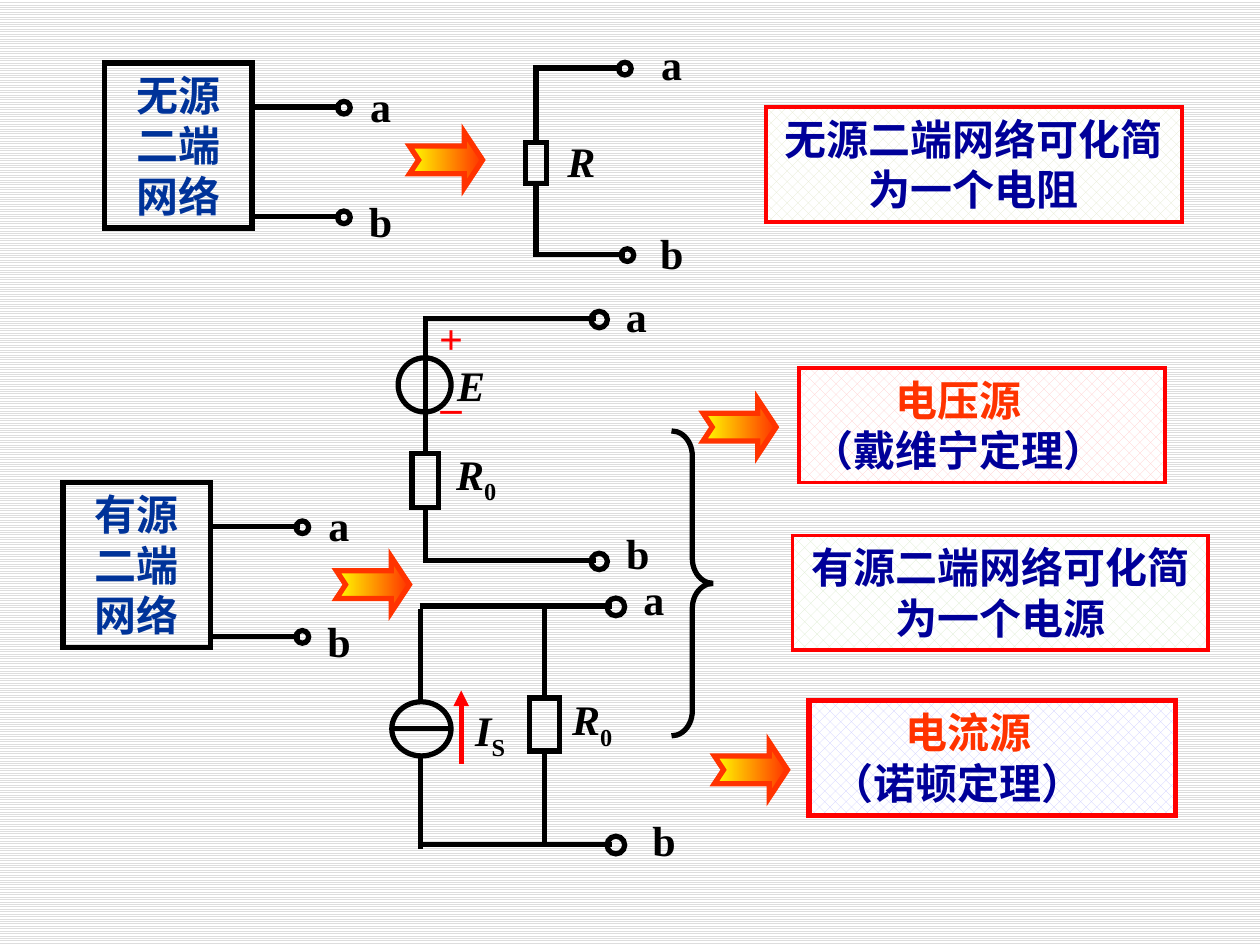
from lxml import etree
from pptx import Presentation
from pptx.dml.color import RGBColor
from pptx.enum.dml import MSO_PATTERN
from pptx.enum.shapes import MSO_CONNECTOR, MSO_SHAPE
from pptx.enum.text import MSO_ANCHOR, PP_ALIGN
from pptx.oxml.ns import qn
from pptx.util import Inches, Pt

BLACK = RGBColor(0x00, 0x00, 0x00)
WHITE = RGBColor(0xFF, 0xFF, 0xFF)
GREY = RGBColor(0xDD, 0xDD, 0xDD)
RED = RGBColor(0xFF, 0x00, 0x00)
ORANGE = RGBColor(0xFF, 0x33, 0x00)
YELLOW = RGBColor(0xFF, 0xFF, 0x00)
BLUE = RGBColor(0x00, 0x33, 0x99)
NAVY = RGBColor(0x00, 0x00, 0x99)
PINK = RGBColor(0xFF, 0xCC, 0xCC)
LILAC = RGBColor(0xCC, 0xCC, 0xFF)
OLIVE = RGBColor(0xE5, 0xE9, 0xCF)
GREEN = RGBColor(0xDA, 0xEB, 0xCD)
CENTER, LEFT = PP_ALIGN.CENTER, PP_ALIGN.LEFT
MIDDLE, TOP_ANCHOR = MSO_ANCHOR.MIDDLE, MSO_ANCHOR.TOP
RECT, OVAL = MSO_SHAPE.RECTANGLE, MSO_SHAPE.OVAL
ARROW, BRACE = MSO_SHAPE.NOTCHED_RIGHT_ARROW, MSO_SHAPE.RIGHT_BRACE
STRAIGHT = MSO_CONNECTOR.STRAIGHT
PCT_30, PCT_40 = MSO_PATTERN.from_xml("pct30"), MSO_PATTERN.from_xml("pct40")
LINES = MSO_PATTERN.from_xml("ltHorz")
TOP, BOTTOM = 0, 2
FONT = "Times New Roman"


def style(run, color, italic=False):
    """Format a run in the slide's bold 24-point type."""
    run.font.name, run.font.size = FONT, Pt(24)
    run.font.bold, run.font.italic = True, italic
    run.font.color.rgb = color


def outline(s, kind, x, y, w, h, color=BLACK, width=3):
    """Add an unfilled preset shape with sharp corners."""
    sp = s.shapes.add_shape(kind, Inches(x), Inches(y), Inches(w), Inches(h))
    sp.shadow.inherit = False
    sp.fill.background()
    sp.line.color.rgb, sp.line.width = color, Pt(width)
    etree.SubElement(sp.element.spPr.find(qn("a:ln")), qn("a:miter"), lim="800000")
    return sp


def wire(s, x1, y1, x2, y2, color=BLACK):
    """Add a straight wire."""
    line = s.shapes.add_connector(STRAIGHT, Inches(x1), Inches(y1), Inches(x2), Inches(y2))
    line.line.color.rgb, line.line.width = color, Pt(3)
    etree.SubElement(line._element.spPr, qn("a:effectLst"))
    return line


def label(s, text, x, y, w=0.82, h=0.51, italic=False, sub="", color=BLACK):
    """Add a centred label with an optional subscript."""
    tf = s.shapes.add_textbox(Inches(x), Inches(y), Inches(w), Inches(h)).text_frame
    tf.word_wrap = w > 0.4
    tf.vertical_anchor = MIDDLE
    tf.text = text
    for i, p in enumerate(tf.paragraphs):
        p.alignment = CENTER
        if i:
            p.space_before = Pt(2.4)
        style(p.runs[0], color, italic)
    if sub:
        r = tf.paragraphs[0].add_run()
        r.text = sub
        style(r, BLACK)
        r.font._element.set("baseline", "-25000")


def terminal(s, name, x, y, end, label_x, label_y, ring=0.1):
    """Add a wire ending in a ring with its terminal letter."""
    wire(s, x, y, end, y)
    outline(s, OVAL, end - 0.3 * ring, y - 0.45 * ring, ring, ring)
    label(s, name, label_x, label_y, w=0.38)


def resistor(s, x, y, w, h, top, bottom):
    """Add a resistor with wires up to top and down to bottom."""
    body = outline(s, RECT, x, y, w, h)
    mid = x + w / 2
    wire(s, mid, y, mid, top).begin_connect(body, TOP)
    wire(s, mid, y + h, mid, bottom).begin_connect(body, BOTTOM)


def network(s, text, x, y):
    """Add a two-terminal network box."""
    terminal(s, "a", x + 1.17, y + 0.35, x + 1.88, x + 2, y + 0.08)
    terminal(s, "b", x + 1.17, y + 1.22, x + 1.88, x + 2, y + 1)
    tf = outline(s, RECT, x, y, 1.17, 1.31).text_frame
    tf.word_wrap, tf.vertical_anchor = True, TOP_ANCHOR
    tf.text = text
    tf.paragraphs[0].alignment = CENTER
    style(tf.paragraphs[0].runs[0], BLUE)


def resistor_circuit(s, x, y):
    """Add the single-resistor equivalent of the passive network."""
    resistor(s, x, y + 0.59, 0.17, 0.33, y, y + 1.5)
    terminal(s, "a", x + 0.06, y, x + 0.77, x + 0.97, y - 0.29)
    terminal(s, "b", x + 0.08, y + 1.48, x + 0.79, x + 0.97, y + 1.21)
    label(s, "R", x + 0.23, y + 0.48, w=0.43, italic=True)


def voltage_circuit(s, x, y):
    """Add the voltage source with its series resistor."""
    terminal(s, "a", x, y, x + 1.37, x + 1.5, y - 0.28, ring=0.13)
    terminal(s, "b", x, y + 1.92, x + 1.37, x + 1.51, y + 1.6, ring=0.13)
    outline(s, OVAL, x - 0.2, y + 0.31, 0.42, 0.43)
    resistor(s, x - 0.09, y + 1.07, 0.21, 0.43, y - 0.01, y + 1.93)
    label(s, "+\n_", x + 0.01, y - 0.11, w=0.42, h=0.95, color=RED)
    label(s, "E", x - 0.03, y + 0.27, italic=True)
    label(s, "R", x + 0.01, y + 1, italic=True, sub="0")


def current_circuit(s, x, y):
    """Add the current source with its parallel resistor."""
    terminal(s, "a", x, y, x + 1.53, x + 1.67, y - 0.31, ring=0.14)
    terminal(s, "b", x, y + 1.89, x + 1.53, x + 1.75, y + 1.6, ring=0.14)
    outline(s, OVAL, x - 0.22, y + 0.76, 0.47, 0.43)
    wire(s, x - 0.22, y + 0.97, x + 0.25, y + 0.97)
    wire(s, x + 0.01, y + 0.02, x + 0.01, y + 0.76)
    wire(s, x + 0.01, y + 1.19, x + 0.01, y + 1.93)
    resistor(s, x + 0.87, y + 0.73, 0.24, 0.42, y, y + 1.9)
    flow = wire(s, x + 0.33, y + 1.25, x + 0.33, y + 0.67, RED)
    etree.SubElement(flow._element.spPr.find(qn("a:ln")), qn("a:tailEnd"), type="triangle")
    label(s, "I", x + 0.15, y + 0.75, italic=True, sub="S")
    label(s, "R", x + 0.96, y + 0.67, italic=True, sub="0")


def arrow(s, x, y):
    """Add a yellow-to-orange notched arrow."""
    sp = outline(s, ARROW, x, y, 0.58, 0.44, ORANGE)
    sp.adjustments[0], sp.adjustments[1] = 0.5, 0.33
    sp.fill.gradient()
    sp.fill.gradient_angle = 0
    for stop, position, color in zip(sp.fill.gradient_stops, (0, 1), (YELLOW, ORANGE)):
        stop.position, stop.color.rgb = position, color


def conclusion(s, x, y, w, pattern, tint, lines, align=CENTER, width=2.25):
    """Add a red-framed box from lines of text, colour and indent."""
    sp = outline(s, RECT, x, y, w, 0.91, RED, width)
    sp.fill.patterned()
    sp.fill.pattern = pattern
    sp.fill.fore_color.rgb, sp.fill.back_color.rgb = tint, WHITE
    tf = sp.text_frame
    tf.word_wrap, tf.vertical_anchor = True, TOP_ANCHOR
    tf.text = "\n".join(text for text, _, _ in lines)
    for p, (_, color, indent) in zip(tf.paragraphs, lines):
        p.alignment = align
        if indent:
            p._p.get_or_add_pPr().set("marL", str(Inches(indent)))
        style(p.runs[0], color)


def main():
    """Build the slide and save it."""
    prs = Presentation()
    prs.slide_width, prs.slide_height = Inches(10), Inches(7.5)
    s = prs.slides.add_slide(prs.slide_layouts[6])
    back = s.background.fill
    back.patterned()
    back.pattern = LINES
    back.fore_color.rgb, back.back_color.rgb = GREY, WHITE

    resistor_circuit(s, 4.17, 0.54)
    network(s, "无源二端网络", 0.83, 0.5)
    brace = outline(s, BRACE, 5.33, 3.42, 0.33, 2.42)
    brace.adjustments[0], brace.adjustments[1] = 0.6, 0.5
    voltage_circuit(s, 3.36, 2.53)
    network(s, "有源二端网络", 0.5, 3.83)
    current_circuit(s, 3.33, 4.81)
    for x, y in ((3.25, 1.05), (2.67, 4.42), (5.58, 3.17), (5.67, 5.89)):
        arrow(s, x, y)
    conclusion(s, 6.34, 2.92, 2.91, PCT_40, PINK,
               [("电压源", ORANGE, 0.67), ("（戴维宁定理）", NAVY, 0)], LEFT)
    conclusion(s, 6.42, 5.56, 2.91, PCT_40, LILAC,
               [("电流源", ORANGE, 0.67), ("（诺顿定理）", NAVY, 0.08)], LEFT, 3)
    conclusion(s, 6.08, 0.85, 3.3, PCT_40, OLIVE,
               [("无源二端网络可化简为一个电阻", NAVY, 0)])
    conclusion(s, 6.29, 4.25, 3.3, PCT_30, GREEN,
               [("有源二端网络可化简为一个电源", NAVY, 0)])
    prs.save("out.pptx")


if __name__ == "__main__":
    main()
